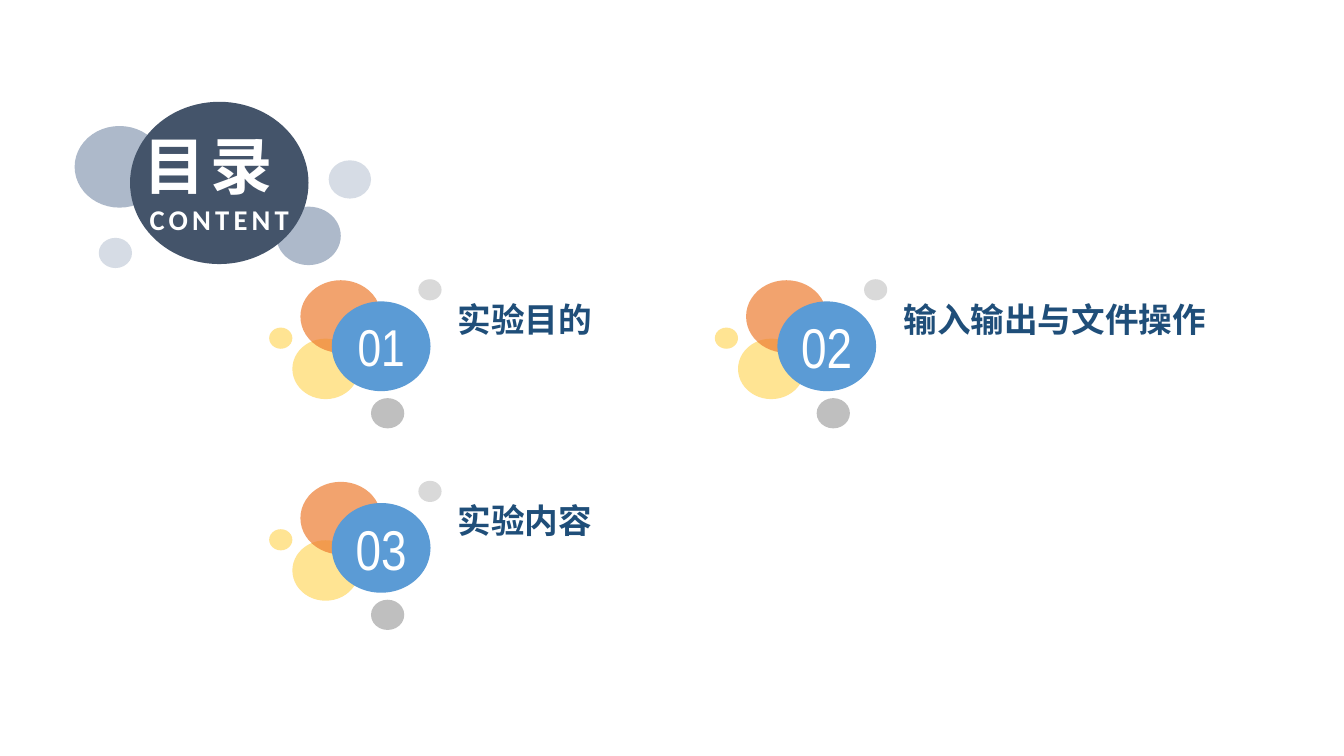
from dataclasses import dataclass
from lxml.etree import SubElement
from pptx import Presentation
from pptx.dml.color import RGBColor
from pptx.enum.shapes import MSO_SHAPE
from pptx.enum.text import MSO_ANCHOR, MSO_AUTO_SIZE, PP_ALIGN
from pptx.oxml.ns import qn
from pptx.util import Pt

PX = 9144


@dataclass(frozen=True)
class Theme:
    navy: str = "44546A"
    slate: str = "ADB9CA"
    mist: str = "D6DCE5"
    gold: str = "FFD966"
    coral: str = "ED7D31"
    blue: str = "5B9BD5"
    gray: str = "A5A5A5"
    pale: str = "C9C9C9"
    ink: str = "1F4E79"
    white: str = "FFFFFF"
    head: float = 44.4
    sub: float = 20.4
    label: float = 24
    latin: str = "Calibri"
    digit: str = "Arial Narrow"
    hans: str = "Noto Sans CJK SC"


class Page:
    def __init__(self, deck, theme):
        self.theme = theme
        self.slide = deck.slides.add_slide(deck.slide_layouts[5])

    def group(self):
        return self.slide.shapes.add_group_shape().shapes

    def oval(self, host, box, color, alpha=100):
        shape = host.add_shape(MSO_SHAPE.OVAL, *(n * PX for n in box))
        shape.shadow.inherit = False
        shape.fill.solid()
        shape.fill.fore_color.rgb = RGBColor.from_string(color)
        shape.line.fill.background()
        if alpha < 100:
            tint = shape.fill._xPr.find(qn("a:solidFill"))[0]
            SubElement(tint, qn("a:alpha")).set("val", str(alpha * 1000))
        return shape

    def frame(self, shape, anchor, align, left=0):
        frame = shape.text_frame
        frame.auto_size = MSO_AUTO_SIZE.NONE
        frame.word_wrap = False
        frame.vertical_anchor = anchor
        frame.margin_left = left * PX
        frame.margin_top = frame.margin_right = frame.margin_bottom = 0
        line = frame.paragraphs[0]
        line.alignment = align
        return line

    def run(self, line, text, size, color, face, bold=False, gap=0):
        run = line.add_run()
        run.text = text
        font = run.font
        font.size = Pt(size)
        font.bold = bold
        font.name = face
        font.color.rgb = RGBColor.from_string(color)
        props = run._r.get_or_add_rPr()
        SubElement(props, qn("a:ea")).set("typeface", self.theme.hans)
        if gap:
            props.set("spc", str(gap * 100))

    def title(self, box, text, sub):
        look = self.theme
        shape = self.slide.shapes.title
        shape.left, shape.top, shape.width, shape.height = (n * PX for n in box)
        line = self.frame(shape, MSO_ANCHOR.BOTTOM, PP_ALIGN.CENTER)
        self.run(line, text, look.head, look.white, look.latin, True, 3)
        line.add_line_break()
        self.run(line, sub, look.sub, look.white, look.latin, True, 3)
        shape.element.getparent().append(shape.element)

    def badge(self, host, box, text, size):
        look = self.theme
        shape = self.oval(host, box, look.blue)
        line = self.frame(shape, MSO_ANCHOR.MIDDLE, PP_ALIGN.CENTER)
        self.run(line, text, size, look.white, look.digit)

    def label(self, box, text):
        look = self.theme
        shape = self.slide.shapes.add_textbox(*(n * PX for n in box))
        line = self.frame(shape, MSO_ANCHOR.BOTTOM, PP_ALIGN.LEFT, 39)
        self.run(line, text, look.label, look.ink, look.hans, True)

    def topic(self, x, y, digits, size, text):
        look = self.theme
        host = self.group()
        back = [(23, 59, 66, 60, look.gold), (31, 1, 80, 72, look.coral)]
        front = [
            (101, 118, 33, 30, look.gray),
            (0, 48, 23, 21, look.gold),
            (148, 0, 23, 21, look.pale),
        ]
        for dots in (back, front):
            for dx, dy, wide, high, color in dots:
                self.oval(host, (x + dx, y + dy, wide, high), color, 70)
            if dots is back:
                self.badge(host, (x + 62, y + 22, 98, 89), digits, size)
        self.label((x + 148, y, 275, 59), text)


def main():
    deck = Presentation()
    deck.slide_width, deck.slide_height = 1333 * PX, 750 * PX
    theme = Theme()
    page = Page(deck, theme)
    topics = [
        ("01", 37, "实验目的"),
        ("02", 40, "输入输出与文件操作"),
        ("03", 40, "实验内容"),
    ]
    for index, topic in enumerate(topics):
        row, col = divmod(index, 2)
        page.topic(267 + col * 442, 277 + row * 200, *topic)
    host = page.group()
    for box, color in [
        ((98, 236, 33, 30), theme.mist),
        ((274, 205, 64, 58), theme.slate),
        ((74, 125, 89, 81), theme.slate),
        ((129, 101, 177, 161), theme.navy),
        ((326, 159, 42, 38), theme.mist),
    ]:
        page.oval(host, box, color)
    page.title((129, 101, 177, 133), "目录 ", "CONTENT")
    deck.save("out.pptx")


if __name__ == "__main__":
    main()
